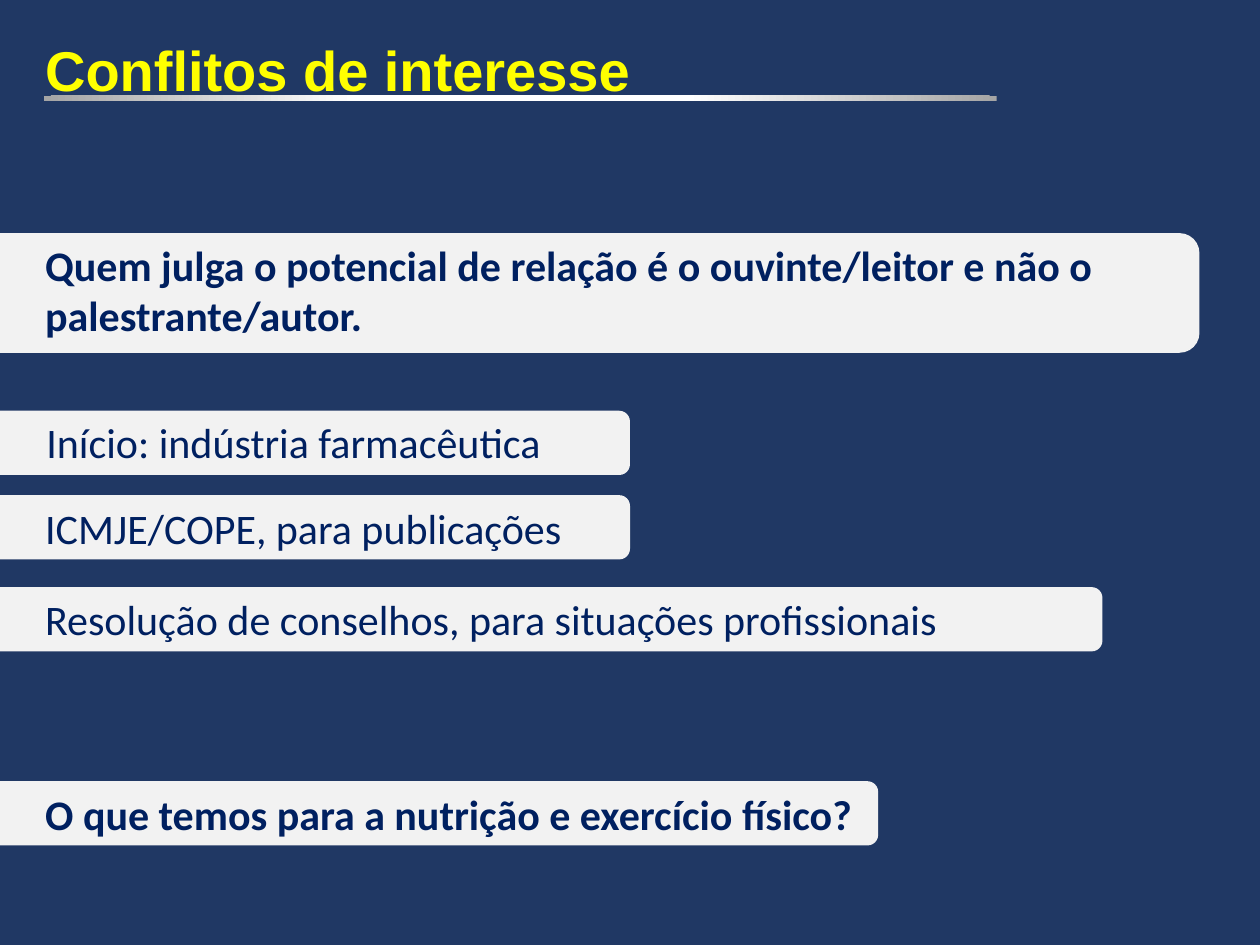
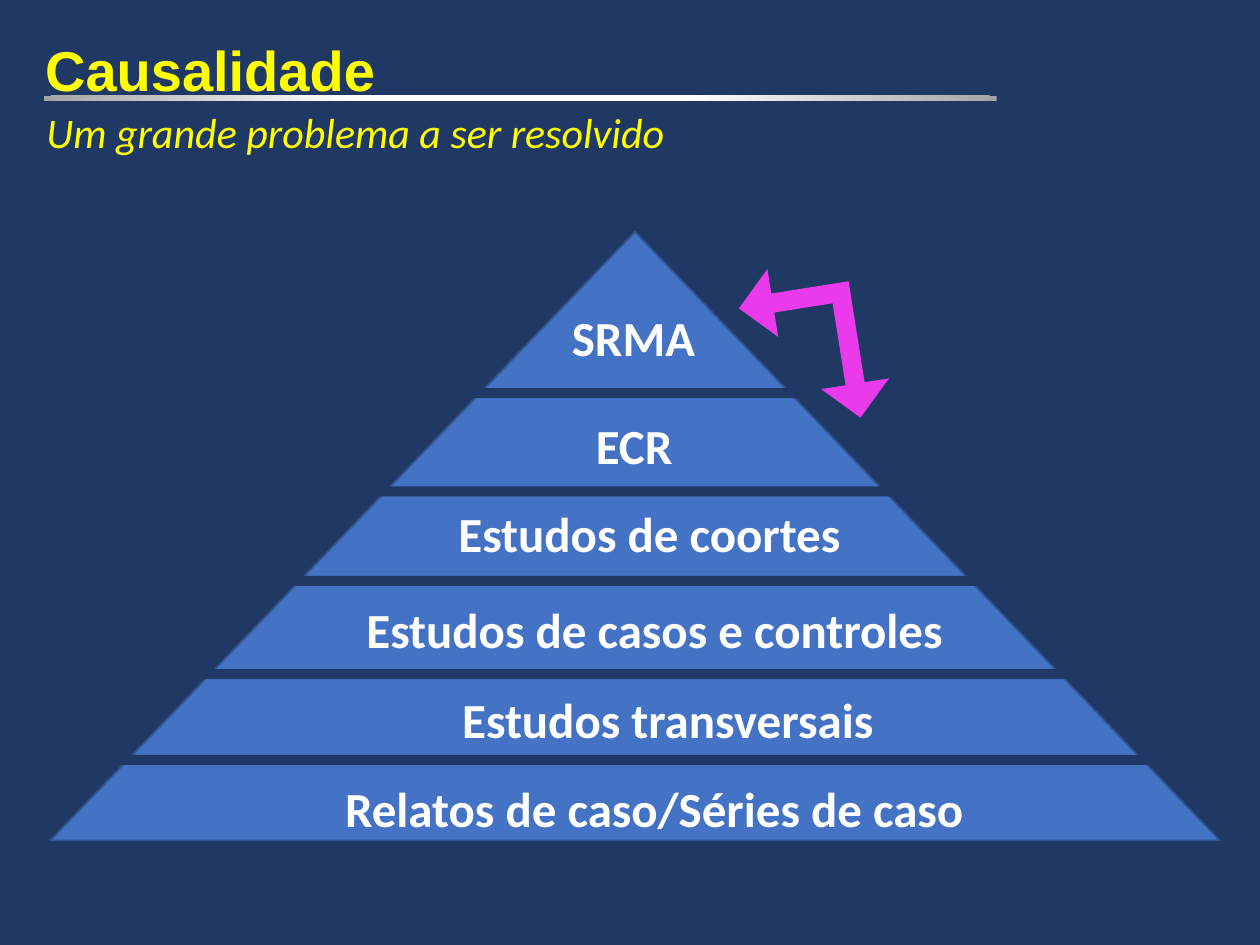
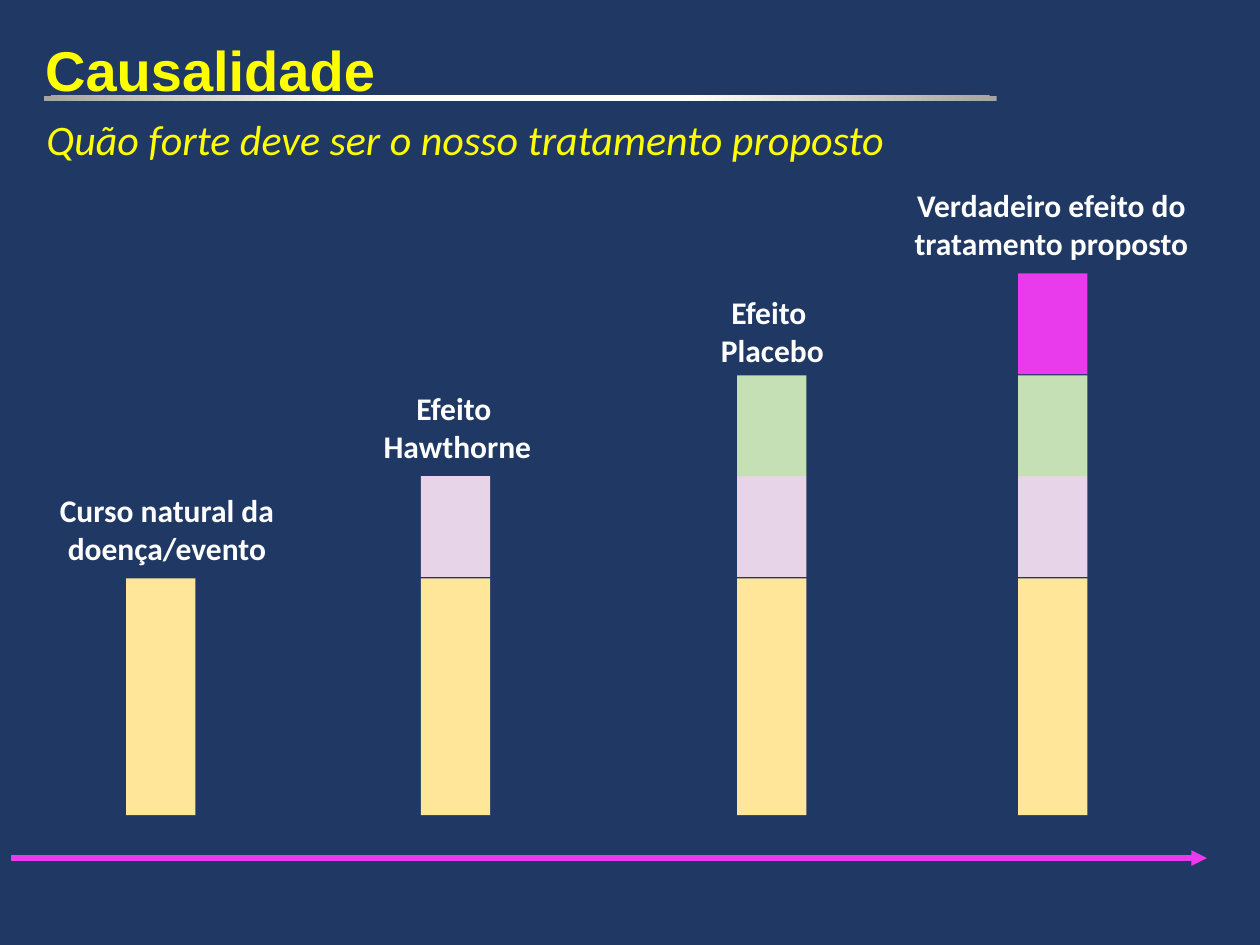
"""Build three lecture slides on conflicts of interest and causality."""
from dataclasses import dataclass

from pptx import Presentation
from pptx.dml.color import RGBColor
from pptx.enum.shapes import MSO_CONNECTOR, MSO_SHAPE
from pptx.enum.text import MSO_ANCHOR, MSO_AUTO_SIZE, PP_ALIGN
from pptx.oxml import parse_xml
from pptx.oxml.ns import nsdecls, qn
from pptx.shapes.autoshape import Shape
from pptx.slide import Slide
from pptx.util import Inches, Pt

RECTANGLE = MSO_SHAPE.RECTANGLE
ROUNDED = MSO_SHAPE.ROUNDED_RECTANGLE
TRIANGLE = MSO_SHAPE.ISOSCELES_TRIANGLE
DOUBLE_ARROW = MSO_SHAPE.LEFT_UP_ARROW
STRAIGHT = MSO_CONNECTOR.STRAIGHT
TOP = MSO_ANCHOR.TOP
GROW = MSO_AUTO_SIZE.SHAPE_TO_FIT_TEXT
LEFT = PP_ALIGN.LEFT
CENTER = PP_ALIGN.CENTER

COLORS = {
    "background": "203864",
    "title": "FFFF00",
    "band": "F2F2F2",
    "band_text": "002060",
    "white": "FFFFFF",
    "rule_end": "A5A5A5",
    "pyramid": "4472C4",
    "pyramid_line": "325491",
    "accent": "E93AEC",
    "natural": "FFE699",
    "hawthorne": "E7D4E8",
    "placebo": "C5E0B4",
}


@dataclass(frozen=True)
class Box:
    """Position and size in inches."""
    left: float
    top: float
    width: float
    height: float

    def lengths(self) -> tuple[Inches, ...]:
        """Return the four values as lengths."""
        return tuple(Inches(value) for value in (self.left, self.top, self.width, self.height))


@dataclass(frozen=True)
class Band:
    """Statement on a band that enters from the left edge."""
    text: str
    band: Box
    text_box: Box
    bold: bool = False


@dataclass(frozen=True)
class Level:
    """Label of one pyramid level."""
    text: str
    box: Box


@dataclass(frozen=True)
class Segment:
    """Layer that recurs in the stacked columns."""
    color: str
    top: float
    height: float


@dataclass(frozen=True)
class Column:
    """Stacked column with its caption."""
    left: float
    caption: str
    caption_box: Box
    wrap: bool


TITLE_BOX = Box(0.26, 0.18, 9.73, 1.42)
RULE_BOX = Box(0.35, 0.76, 7.56, 0.04)
BANDS = (
    Band("Quem julga o potencial de relação é o ouvinte/leitor e não o palestrante/autor.",
         Box(-0.45, 1.85, 9.97, 0.95), Box(0.26, 1.85, 9.48, 0.91), True),
    Band("Resolução de conselhos, para situações profissionais",
         Box(-0.45, 4.66, 9.2, 0.51), Box(0.26, 4.66, 9.48, 0.5)),
    Band("ICMJE/COPE, para publicações",
         Box(-0.45, 3.93, 5.45, 0.51), Box(0.26, 3.94, 9.48, 0.5)),
    Band("O que temos para a nutrição e exercício físico?",
         Box(-0.34, 6.2, 7.31, 0.51), Box(0.26, 6.21, 9.48, 0.5), True),
    Band("Início: indústria farmacêutica",
         Box(-0.34, 3.26, 5.34, 0.51), Box(0.27, 3.26, 4.63, 0.5)),
)
PYRAMID_GAPS = ((0.68, 5.99), (0.91, 5.31), (0.97, 4.57), (1.22, 3.86), (0.76, 3.08))
LEVELS = (
    Level("Relatos de caso/Séries de caso", Box(2.64, 6.13, 5.17, 0.57)),
    Level("Estudos transversais", Box(3.57, 5.42, 3.5, 0.57)),
    Level("Estudos de casos e controles", Box(2.81, 4.71, 4.83, 0.57)),
    Level("Estudos de coortes", Box(3.54, 3.95, 3.27, 0.57)),
    Level("ECR", Box(4.63, 3.25, 0.82, 0.57)),
    Level("SRMA", Box(4.44, 2.39, 1.19, 0.57)),
)
COLUMN_WIDTH = 0.55
SEGMENTS = (
    Segment("natural", 4.59, 1.88),
    Segment("hawthorne", 3.78, 0.8),
    Segment("placebo", 2.98, 0.8),
    Segment("accent", 2.17, 0.8),
)
COLUMNS = (
    Column(1, "Curso natural da doença/evento", Box(0.35, 3.85, 1.95, 0.71), True),
    Column(3.34, "Efeito \nHawthorne", Box(2.94, 3.04, 1.38, 0.71), False),
    Column(5.85, "Efeito \nPlacebo", Box(5.62, 2.28, 1.02, 0.71), False),
    Column(8.08, "Verdadeiro efeito do tratamento proposto", Box(7.1, 1.43, 2.49, 0.71), True),
)


def rgb(name: str) -> RGBColor:
    """Look up a named color."""
    return RGBColor.from_string(COLORS[name])


def add_text(slide: Slide, text: str, box: Box, *, size: float, color: str, font: str = "Calibri",
             bold: bool = False, italic: bool = False, wrap: bool = True, grow: bool = True,
             align: PP_ALIGN = LEFT, inset_top: float = 0.05) -> None:
    """Add a text box with one paragraph per line of text."""
    frame = slide.shapes.add_textbox(*box.lengths()).text_frame
    frame.text = text
    frame.word_wrap = wrap
    frame.vertical_anchor = TOP
    frame.margin_top = Inches(inset_top)
    if grow:
        frame.auto_size = GROW
    for paragraph in frame.paragraphs:
        paragraph.alignment = align
        for run in paragraph.runs:
            run.font.name = font
            run.font.size = Pt(size)
            run.font.bold = bold
            run.font.italic = italic
            run.font.color.rgb = rgb(color)


def add_filled(slide: Slide, kind: MSO_SHAPE, box: Box, color: str) -> Shape:
    """Add a flat shape without an outline."""
    shape = slide.shapes.add_shape(kind, *box.lengths())
    shape.shadow.inherit = False
    shape.fill.solid()
    shape.fill.fore_color.rgb = rgb(color)
    shape.line.fill.background()
    return shape


def add_title_rule(slide: Slide) -> None:
    """Add the rule below the title, bright in the middle."""
    rule = add_filled(slide, RECTANGLE, RULE_BOX, "white")
    stops = "".join(
        f'<a:gs pos="{position}"><a:srgbClr val="{COLORS[name]}"/></a:gs>'
        for position, name in ((0, "white"), (35000, "white"), (100000, "rule_end")))
    gradient = parse_xml(
        f'<a:gradFill {nsdecls("a")} rotWithShape="1"><a:gsLst>{stops}</a:gsLst>'
        '<a:path path="circle"><a:fillToRect l="50000" t="-80000" r="50000" b="180000"/>'
        '</a:path></a:gradFill>')
    properties = rule.element.spPr
    properties.replace(properties.find(qn("a:solidFill")), gradient)


def add_titled_slide(presentation: Presentation, title: str) -> Slide:
    """Add a slide with the shared background, title and rule."""
    slide = presentation.slides.add_slide(presentation.slide_layouts[6])
    slide.background.fill.solid()
    slide.background.fill.fore_color.rgb = rgb("background")
    add_text(slide, title, TITLE_BOX, size=32, color="title", font="Arial", bold=True,
             grow=False, inset_top=0.1)
    add_title_rule(slide)
    return slide


def add_subtitle(slide: Slide, text: str, box: Box) -> None:
    """Add the italic line below the title rule."""
    add_text(slide, text, box, size=24, color="title", italic=True, wrap=False)


def add_timeline(slide: Slide) -> None:
    """Add the arrow that runs below the columns."""
    y = Inches(6.81)
    arrow = slide.shapes.add_connector(STRAIGHT, Inches(0.09), y, Inches(9.58), y)
    arrow.line.color.rgb = rgb("accent")
    arrow.line.width = Pt(3)
    arrow.line._get_or_add_ln().append(parse_xml(f'<a:tailEnd {nsdecls("a")} type="triangle"/>'))
    arrow.element.spPr.append(parse_xml(f'<a:effectLst {nsdecls("a")}/>'))


def build_conflicts(presentation: Presentation) -> None:
    """Build the slide of statements on bands."""
    slide = add_titled_slide(presentation, "Conflitos de interesse")
    for item in BANDS:
        add_filled(slide, ROUNDED, item.band, "band")
        add_text(slide, item.text, item.text_box, size=24, color="band_text", bold=item.bold)


def build_pyramid(presentation: Presentation) -> None:
    """Build the pyramid of evidence."""
    slide = add_titled_slide(presentation, "Causalidade")
    add_subtitle(slide, "Um grande problema a ser resolvido", Box(0.27, 0.8, 5.16, 0.5))
    pyramid = add_filled(slide, TRIANGLE, Box(0.4, 1.84, 9.28, 4.83), "pyramid")
    pyramid.line.color.rgb = rgb("pyramid_line")
    pyramid.line.width = Pt(1)
    for left, top in PYRAMID_GAPS:
        add_filled(slide, RECTANGLE, Box(left, top, 8.7, 0.08), "background")
    for level in LEVELS:
        add_text(slide, level.text, level.box, size=28, color="white", bold=True, wrap=False)
    arrow = add_filled(slide, DOUBLE_ARROW, Box(5.82, 2.18, 1.28, 1.09), "accent")
    arrow.rotation = 261
    for index, value in enumerate((0.14, 0.25, 0.25)):
        arrow.adjustments[index] = value


def build_effects(presentation: Presentation) -> None:
    """Build the columns that each add one effect."""
    slide = add_titled_slide(presentation, "Causalidade")
    for count, column in enumerate(COLUMNS, start=1):
        for segment in SEGMENTS[:count]:
            box = Box(column.left, segment.top, COLUMN_WIDTH, segment.height)
            add_filled(slide, RECTANGLE, box, segment.color)
        add_text(slide, column.caption, column.caption_box, size=18, color="white", bold=True,
                 wrap=column.wrap, align=CENTER)
    add_timeline(slide)
    add_subtitle(slide, "Quão forte deve ser o nosso tratamento proposto",
                 Box(0.27, 0.85, 6.93, 0.5))


def main() -> None:
    """Build and save the presentation."""
    presentation = Presentation()
    presentation.slide_width = Inches(10)
    presentation.slide_height = Inches(7.5)
    build_conflicts(presentation)
    build_pyramid(presentation)
    build_effects(presentation)
    presentation.save("out.pptx")


if __name__ == "__main__":
    main()
